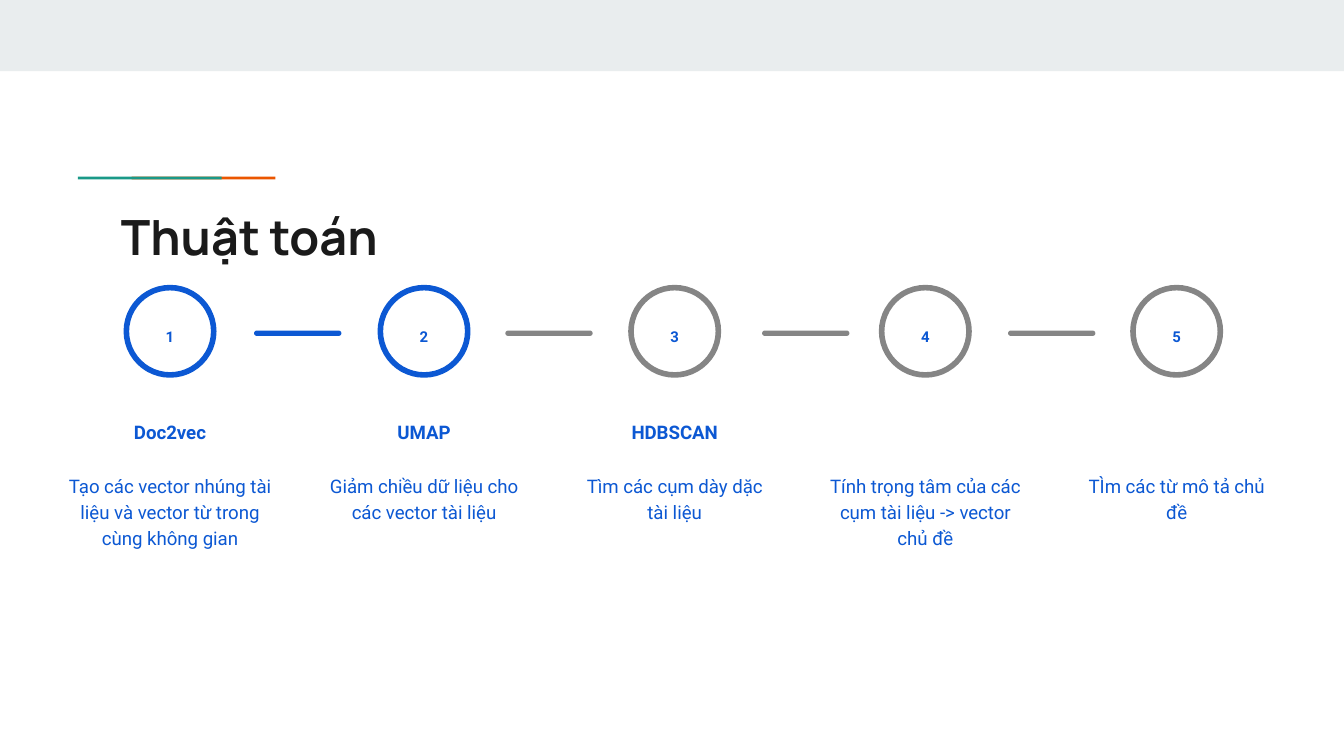
import pptx
import pptx.util
import pptx.dml.color
import pptx.enum.shapes
import pptx.enum.text

PX = 4572  # EMU, 200 px to the inch
COLORS = {
    "band": "E9EDEE",
    "orange": "EB5600",
    "teal": "1A9988",
    "title": "1A1A1A",
    "blue": "0C58D3",
    "gray": "858585",
}
SHAPES = pptx.enum.shapes.MSO_SHAPE
ANCHOR = pptx.enum.text.MSO_ANCHOR
ALIGN = pptx.enum.text.PP_ALIGN

CIRCLE = 130
# center, column width, color, heading, description
STEPS = [
    (253, 346, "blue", "Doc2vec",
     "Tạo các vector nhúng tài liệu và vector từ trong cùng không gian"),
    (631, 336, "blue", "UMAP", "Giảm chiều dữ liệu cho các vector tài liệu"),
    (1004, 336, "gray", "HDBSCAN", "Tìm các cụm dày dặc tài liệu"),
    (1377, 336, "gray", "",
     "Tính trọng tâm của các cụm tài liệu -> vector chủ đề"),
    (1751, 336, "gray", "", "TÌm các từ mô tả chủ đề"),
]
LINKS = [(378, "blue"), (752, "gray"), (1134, "gray"), (1500, "gray")]


def emu(*lengths):
    return [length * PX for length in lengths]


def rgb(name):
    return pptx.dml.color.RGBColor.from_string(COLORS[name])


def assign(target, values):
    for name, value in values.items():
        setattr(target, name, value)


class Deck:
    """Holds the text style and the current slide."""

    frame_format = {
        "word_wrap": True,
        "auto_size": pptx.enum.text.MSO_AUTO_SIZE.NONE,
        **{f"margin_{side}": 20 * PX for side in ("left", "right", "top", "bottom")},
    }

    def __init__(self, slide):
        self.slide = slide

    def fill_frame(self, frame, text, font, color, anchor=ANCHOR.TOP,
                   **paragraph_format):
        assign(frame, {**self.frame_format, "vertical_anchor": anchor})
        paragraph = frame.paragraphs[0]
        assign(paragraph, paragraph_format)
        run = paragraph.add_run()
        run.text = text
        assign(run.font, font)
        run.font.color.rgb = rgb(color)

    def title(self, text, box):
        title = self.slide.shapes.title
        assign(title, dict(zip(("left", "top", "width", "height"), emu(*box))))
        font = {"name": "Manrope", "size": pptx.util.Pt(26), "bold": True}
        self.fill_frame(title.text_frame, text, font, "title", alignment=ALIGN.LEFT)

    def text(self, text, box, size, bold=False, anchor=ANCHOR.TOP, after=16):
        frame = self.slide.shapes.add_textbox(*emu(*box)).text_frame
        font = {"name": "Roboto", "size": pptx.util.Pt(size), "bold": bold}
        self.fill_frame(frame, text, font, "blue", anchor, alignment=ALIGN.CENTER,
                        line_spacing=1.15, space_after=pptx.util.Pt(after))

    def bar(self, box, color, kind=SHAPES.RECTANGLE):
        bar = self.slide.shapes.add_shape(kind, *emu(*box))
        bar.shadow.inherit = False
        bar.fill.solid()
        bar.fill.fore_color.rgb = rgb(color)
        bar.line.fill.background()
        return bar

    def link(self, left, color):
        bar = self.bar((left, 492, 130, 8), color, SHAPES.ROUNDED_RECTANGLE)
        bar.adjustments[0] = 0.5

    def circle(self, center, color):
        circle = self.slide.shapes.add_shape(
            SHAPES.OVAL, *emu(center - CIRCLE // 2, 428, CIRCLE, CIRCLE))
        circle.shadow.inherit = False
        circle.fill.background()
        circle.line.color.rgb = rgb(color)
        circle.line.width = pptx.util.Pt(3)

    def step(self, number, center, width, color, heading, description):
        left = center - width // 2
        self.circle(center, color)
        self.text(str(number), (center - 48, 464, 96, 70), 8, bold=True)
        if heading:
            self.text(heading, (left, 582, width, 98), 10, True, ANCHOR.BOTTOM, 0)
        self.text(description, (left, 682, width, 162), 10)


def main():
    presentation = pptx.Presentation()
    presentation.slide_width, presentation.slide_height = emu(2000, 1125)
    title_only = presentation.slide_layouts[5]
    deck = Deck(presentation.slides.add_slide(title_only))

    deck.bar((0, 0, 2000, 106), "band")
    deck.bar((196, 263, 214, 4), "orange")
    deck.bar((116, 263, 214, 4), "teal")
    deck.title("Thuật toán", (160, 288, 1682, 118))
    for left, color in LINKS:
        deck.link(left, color)
    for number, step in enumerate(STEPS, start=1):
        deck.step(number, *step)

    presentation.save("out.pptx")


if __name__ == "__main__":
    main()
